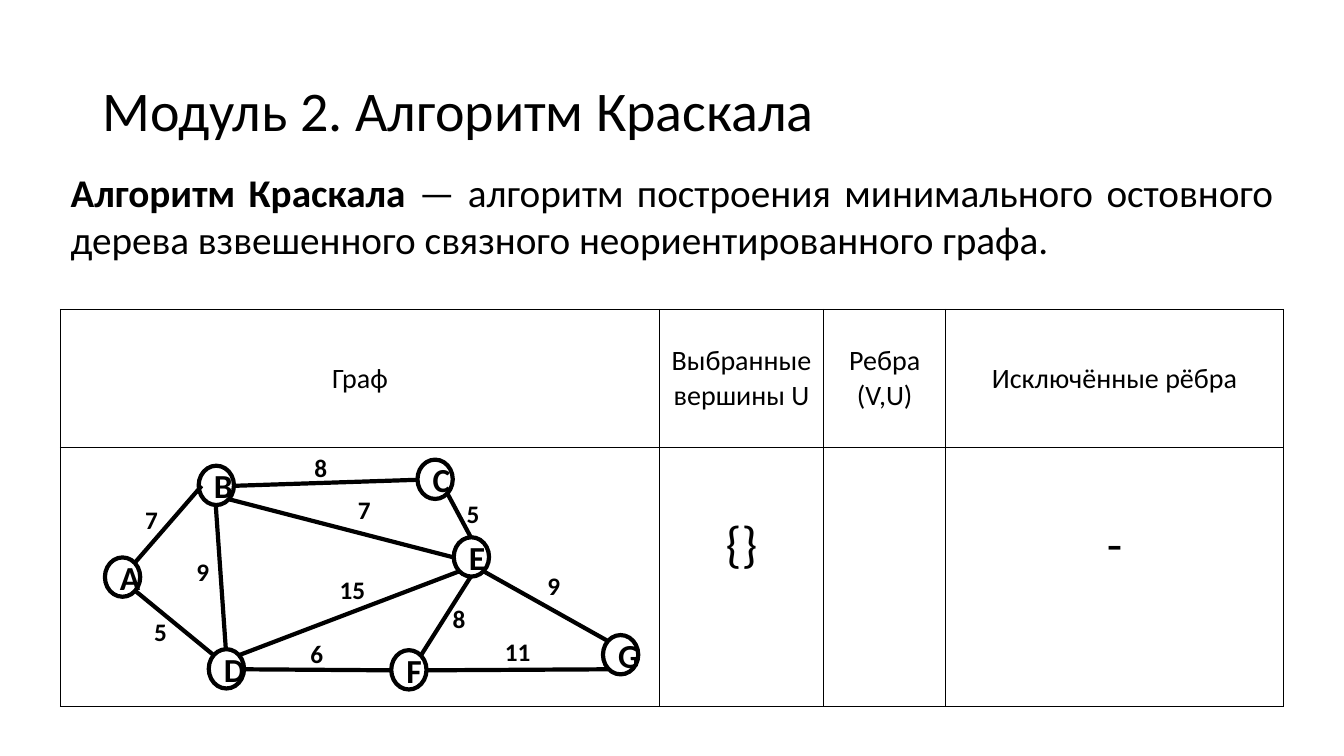
from dataclasses import dataclass
from typing import Any

import pptx
import pptx.dml.color
import pptx.enum.shapes
import pptx.enum.text
import pptx.oxml
import pptx.oxml.ns
import pptx.util
from pptx.util import Inches

ALIGN = pptx.enum.text.PP_ALIGN
ANCHOR = pptx.enum.text.MSO_ANCHOR
FIT = pptx.enum.text.MSO_AUTO_SIZE
BLACK, WHITE = "000000", "FFFFFF"
FONT = "Calibri"

Point = tuple[float, float]


@dataclass
class Node:
    name: str
    left: float
    top: float


@dataclass
class Edge:
    start: Point
    end: Point
    weight: str
    label: Point
    width: float = 0.35


@dataclass
class Cell:
    row: int
    col: int
    text: str
    size: int = 20


NODES = [
    Node("C", 4.12, 4.58),
    Node("F", 3.86, 6.47),
    Node("G", 5.96, 6.32),
    Node("B", 1.95, 4.64),
    Node("E", 4.48, 5.35),
    Node("D", 2.05, 6.46),
    Node("A", 1.02, 5.55),
]

EDGES = [
    Edge((6.03, 6.64), (4.23, 6.65), "11", (4.91, 6.26), 0.53),
    Edge((4.67, 5.33), (4.44, 4.9), "5", (4.53, 4.89)),
    Edge((4.14, 4.76), (2.32, 4.82), "8", (3.02, 4.44)),
    Edge((4.17, 6.51), (4.67, 5.72), "8", (4.39, 5.94), 0.53),
    Edge((4.5, 5.53), (2.26, 4.95), "7", (3.45, 4.86)),
    Edge((2.37, 6.5), (4.55, 5.67), "15", (3.27, 5.65), 0.53),
    Edge((3.88, 6.65), (2.42, 6.64), "6", (2.98, 6.28)),
    Edge((2.12, 6.5), (1.34, 5.86), "5", (1.43, 6.07)),
    Edge((2, 4.82), (1.34, 5.58), "7", (1.34, 4.95)),
    Edge((2.14, 5.01), (2.24, 6.44), "9", (1.85, 5.47)),
    Edge((6.03, 6.36), (4.8, 5.67), "9", (5.33, 5.61), 0.53),
]

CELLS = [
    Cell(0, 0, "Граф"),
    Cell(0, 1, "Выбранные вершины U"),
    Cell(0, 2, "Ребра\n(V,U)"),
    Cell(0, 3, "Исключённые рёбра"),
    Cell(1, 1, "{}", 36),
    Cell(1, 3, "-", 36),
]
COLS = [5.94, 1.63, 1.21, 3.35]
ROWS = [1.37, 2.57]


def paint(target: Any, color: str) -> None:
    """Give a fill a solid colour."""
    target.solid()
    target.fore_color.rgb = pptx.dml.color.RGBColor.from_string(color)


def write(par: Any, text: str, size: int, bold: bool = False,
          align: Any = ALIGN.LEFT) -> None:
    """Add a run to the paragraph."""
    par.alignment = align
    run = par.add_run()
    run.text = text
    run.font.name = FONT
    run.font.size = pptx.util.Pt(size)
    run.font.bold = bold
    paint(run.font.fill, BLACK)


def place(shape: Any, left: float, top: float, width: float, height: float) -> None:
    shape.left, shape.top = Inches(left), Inches(top)
    shape.width, shape.height = Inches(width), Inches(height)


def stroke(line: Any) -> None:
    paint(line.fill, BLACK)
    line.width = pptx.util.Pt(3)


def border(cell: Any) -> None:
    """Draw a thin line on each side of the cell, then fill it."""
    props = cell._tc.get_or_add_tcPr()
    for side in ("lnL", "lnR", "lnT", "lnB"):
        props.append(pptx.oxml.parse_xml(
            f'<a:{side} {pptx.oxml.ns.nsdecls("a")} w="12700"><a:solidFill>'
            f'<a:srgbClr val="{BLACK}"/></a:solidFill></a:{side}>'))
    paint(cell.fill, WHITE)


def add_table(slide: Any) -> None:
    frame = slide.shapes.add_table(
        len(ROWS), len(COLS), Inches(0.6), Inches(3.07),
        Inches(sum(COLS)), Inches(sum(ROWS)))
    table = frame.table
    table.first_row = table.horz_banding = False
    for col, width in zip(table.columns, COLS):
        col.width = Inches(width)
    for row, height in zip(table.rows, ROWS):
        row.height = Inches(height)
    for cell in table.iter_cells():
        border(cell)
    for item in CELLS:
        cell = table.cell(item.row, item.col)
        if item.row == 0:
            cell.vertical_anchor = ANCHOR.MIDDLE
        else:
            cell.margin_top = Inches(0.66)
        for num, text in enumerate(item.text.split("\n")):
            frame = cell.text_frame
            par = frame.add_paragraph() if num else frame.paragraphs[0]
            write(par, text, item.size, align=ALIGN.CENTER)


def add_node(slide: Any, node: Node) -> None:
    oval = slide.shapes.add_shape(
        pptx.enum.shapes.MSO_SHAPE.OVAL, Inches(node.left), Inches(node.top),
        Inches(0.39), Inches(0.35))
    oval.rotation = 90
    oval.shadow.inherit = False
    oval.fill.background()
    stroke(oval.line)
    frame = oval.text_frame
    frame.vertical_anchor = ANCHOR.MIDDLE
    frame._txBody.bodyPr.set("vert", "vert270")
    write(frame.paragraphs[0], node.name, 24, bold=True, align=ALIGN.CENTER)


def add_edge(slide: Any, edge: Edge) -> None:
    line = slide.shapes.add_connector(
        pptx.enum.shapes.MSO_CONNECTOR.STRAIGHT,
        *(Inches(pos) for pos in edge.start + edge.end))
    stroke(line.line)
    line._element.spPr.append(pptx.oxml.parse_xml(
        f'<a:effectLst {pptx.oxml.ns.nsdecls("a")}/>'))


def add_weight(slide: Any, edge: Edge) -> None:
    box = slide.shapes.add_textbox(
        *(Inches(size) for size in (*edge.label, edge.width, 0.4)))
    box.text_frame.word_wrap = True
    write(box.text_frame.paragraphs[0], edge.weight, 18, bold=True)


def add_text(slide: Any) -> None:
    """Fill the title and body placeholders."""
    title, body = slide.placeholders
    place(title, 0.92, 0.4, 11.5, 1.45)
    place(body, 0.6, 1.62, 12.13, 1.04)
    for shape in (title, body):
        shape.text_frame.auto_size = FIT.NONE
    title.text_frame.vertical_anchor = ANCHOR.MIDDLE
    head = title.text_frame.paragraphs[0]
    head.line_spacing = 0.9
    write(head, "Модуль 2. Алгоритм Краскала", 40)

    par = body.text_frame.paragraphs[0]
    props = par._p.get_or_add_pPr()
    props.set("marL", "0")
    props.set("indent", "0")
    props.append(pptx.oxml.parse_xml(f'<a:buNone {pptx.oxml.ns.nsdecls("a")}/>'))
    par.space_before = pptx.util.Pt(0)
    write(par, "Алгоритм Краскала", 28, bold=True, align=ALIGN.JUSTIFY)
    write(par, " — алгоритм построения минимального остовного дерева"
          " взвешенного связного неориентированного графа.", 28,
          align=ALIGN.JUSTIFY)


def main() -> None:
    deck = pptx.Presentation()
    deck.slide_width, deck.slide_height = Inches(13.33), Inches(7.5)
    slide = deck.slides.add_slide(deck.slide_layouts[1])
    add_text(slide)
    add_table(slide)
    for node in NODES:
        add_node(slide, node)
    for edge in EDGES:
        add_edge(slide, edge)
    for edge in EDGES:
        add_weight(slide, edge)
    deck.save("out.pptx")


if __name__ == "__main__":
    main()
